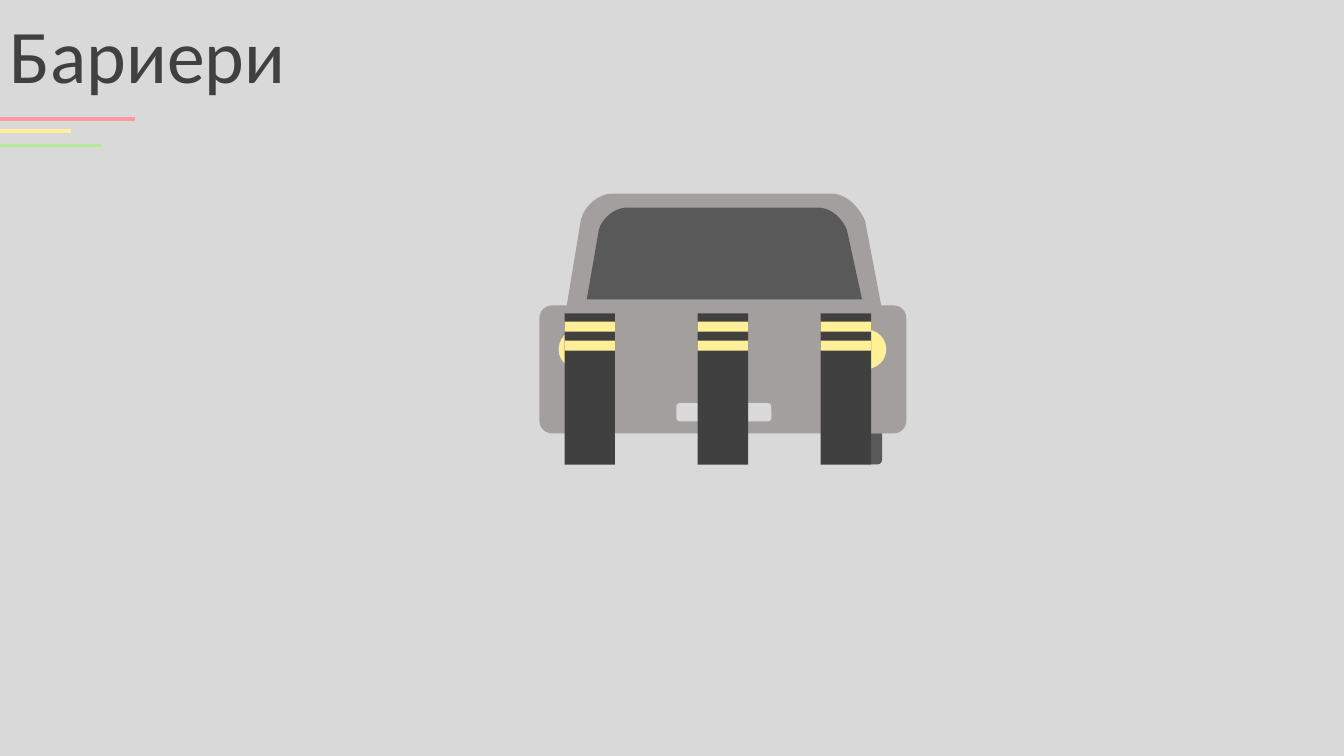
from lxml import etree
from pptx import Presentation
from pptx import util as u
from pptx.dml.color import RGBColor
from pptx.enum import shapes, text
from pptx.oxml.ns import qn

Inches = u.Inches
GROUND, BODY, GLASS = "D9D9D9", "A39F9F", "595959"
DARK, YELLOW = "404040", "FFF096"
KIND = shapes.MSO_SHAPE


def rgb(color):
    return RGBColor.from_string(color)


def paint(sp, color):
    sp.shadow.inherit = False
    sp.fill.solid()
    sp.fill.fore_color.rgb = rgb(color)
    sp.line.fill.background()


def add_block(parent, kind, box, color, adj=()):
    sp = parent.add_shape(kind, *map(Inches, box))
    for i, value in enumerate(adj):
        sp.adjustments[i] = value
    paint(sp, color)


def curve(p0, p1, p2, p3, steps=16):
    """Points along a cubic Bezier curve, both ends included."""
    points = []
    for i in range(steps + 1):
        t = i / steps
        weights = ((1 - t) ** 3, 3 * t * (1 - t) ** 2, 3 * t * t * (1 - t), t ** 3)
        points.append(tuple(sum(w * p[axis] for w, p in zip(weights, (p0, p1, p2, p3)))
                            for axis in (0, 1)))
    return points


def add_outline(parent, points, color):
    emu = [(Inches(x), Inches(y)) for x, y in points]
    builder = parent.build_freeform(*emu[0])
    builder.add_line_segments(emu[1:], close=True)
    paint(builder.convert_to_shape(), color)


def add_rule(parent, y, length, color):
    line = parent.add_connector(shapes.MSO_CONNECTOR.STRAIGHT,
                                0, Inches(y), Inches(length), Inches(y))
    line.line.color.rgb = rgb(color)
    line.line.width = u.Pt(2.25)
    etree.SubElement(line._element.spPr, qn("a:effectLst"))


def add_title(parent, words):
    tf = parent.add_textbox(0, Inches(0.03), Inches(4.2), Inches(1.01)).text_frame
    tf.word_wrap = True
    tf.auto_size = text.MSO_AUTO_SIZE.SHAPE_TO_FIT_TEXT
    r = tf.paragraphs[0].add_run()
    r.text = words
    for name, value in {"name": "Calibri", "size": u.Pt(54)}.items():
        setattr(r.font, name, value)
    r.font.color.rgb = rgb(DARK)


def add_car(parent):
    add_block(parent, KIND.ROUNDED_RECTANGLE, (5.35, 3.03, 3.64, 1.27), BODY, [0.1])
    # Cabin and windscreen
    cabin = (curve((8.24, 1.92), (8.39, 1.92), (8.52, 2.05), (8.58, 2.19))
             + [(8.75, 3.08), (8.71, 3.04), (5.62, 3.04)]
             + curve((5.76, 2.19), (5.79, 2.05), (5.93, 1.92), (6.08, 1.92)))
    screen = (curve((8.11, 2.06), (8.24, 2.06), (8.35, 2.16), (8.4, 2.28))
              + [(8.55, 2.97), (5.82, 2.97)]
              + curve((5.94, 2.28), (5.97, 2.17), (6.09, 2.06), (6.22, 2.06)))
    add_outline(parent, cabin, BODY)
    add_outline(parent, screen, GLASS)
    # Headlights, wheels and number plate
    for x in (5.54, 8.4):
        add_block(parent, KIND.OVAL, (x, 3.27, 0.39, 0.39), YELLOW)
    for x in (5.61, 8.36):
        add_block(parent, KIND.ROUND_2_SAME_RECTANGLE, (x, 4.3, 0.39, 0.31), GLASS, [0, 0.17])
    add_block(parent, KIND.ROUNDED_RECTANGLE, (6.71, 4, 0.94, 0.18), GROUND)


def add_barrier(parent, x):
    add_block(parent, KIND.RECTANGLE, (x, 3.11, 0.5, 1.51), DARK)
    for y in (3.19, 3.38):
        add_block(parent, KIND.RECTANGLE, (x, y, 0.5, 0.1), YELLOW)


def main():
    prs = Presentation()
    prs.slide_width, prs.slide_height = Inches(13.33), Inches(7.5)
    s = prs.slides.add_slide(prs.slide_layouts[6])
    s.background.fill.solid()
    s.background.fill.fore_color.rgb = rgb(GROUND)

    add_car(s.shapes.add_group_shape().shapes)
    add_title(s.shapes, "Бариери")

    # Coloured rules under the title
    rules = s.shapes.add_group_shape().shapes
    for y, length, color in ((1.18, 1.34, "FF9AA2"), (1.3, 0.7, YELLOW), (1.44, 1, "B5EA96")):
        add_rule(rules, y, length, color)

    # Barriers, standing on the ground in front of the car
    for x in (5.6, 6.92, 8.14):
        add_barrier(s.shapes.add_group_shape().shapes, x)
    add_block(s.shapes, KIND.RECTANGLE, (5.19, 4.61, 4.11, 1.88), GROUND)

    prs.save("out.pptx")


if __name__ == "__main__":
    main()
